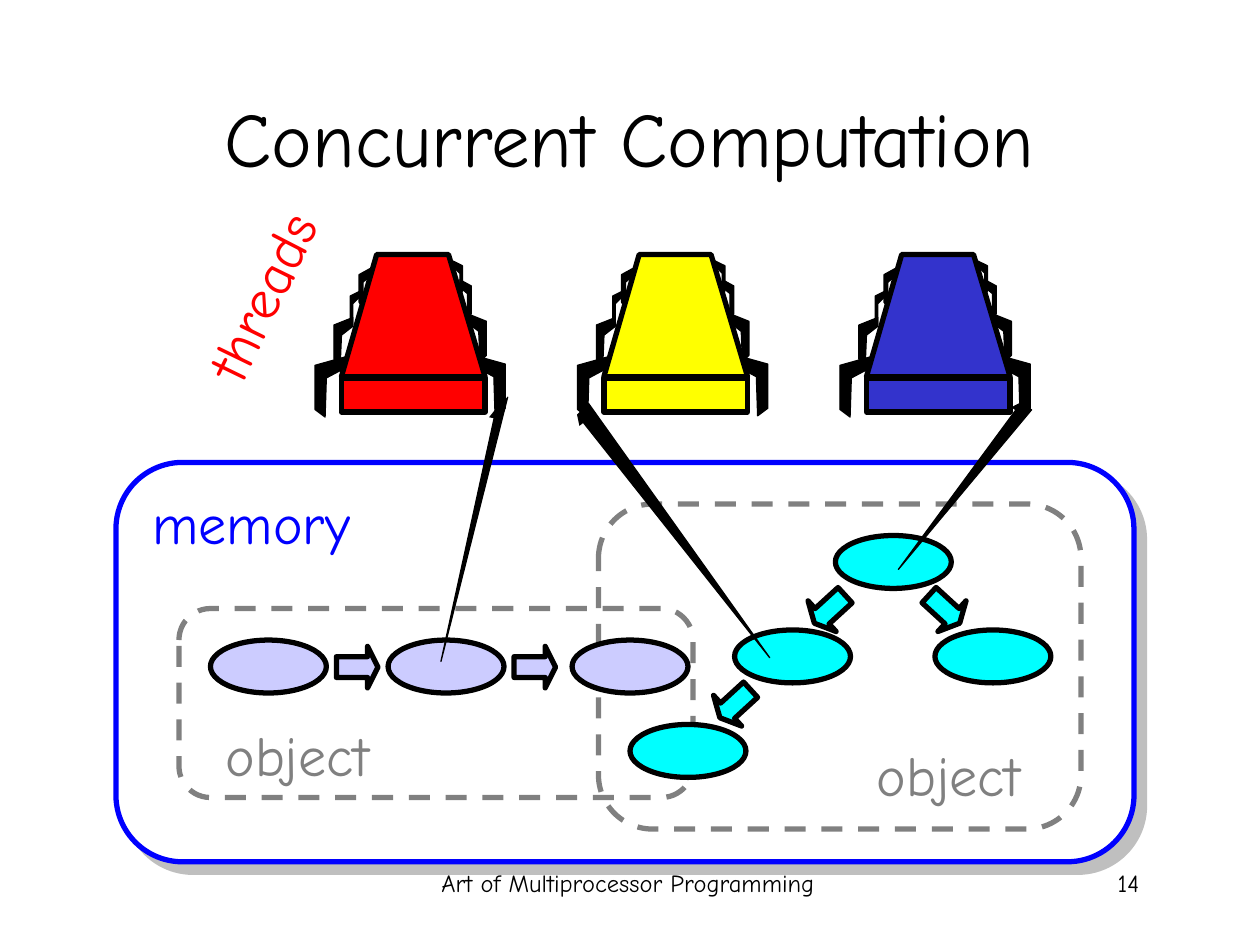
"""Build the Concurrent Computation slide: three threads sharing objects in memory."""
from dataclasses import dataclass
from typing import NamedTuple

from lxml.etree import SubElement
from pptx import Presentation
from pptx.dml.color import RGBColor
from pptx.enum.dml import MSO_LINE
from pptx.enum.shapes import MSO_SHAPE as Preset
from pptx.enum.text import MSO_ANCHOR as Anchor, MSO_AUTO_SIZE as AutoSize, PP_ALIGN as Align
from pptx.oxml.ns import qn
from pptx.util import Inches, Pt


@dataclass(frozen=True)
class Theme:
    font: str = "Comic Neue"
    title_size: int = 44
    label_size: int = 32
    footer_size: int = 14
    thick: float = 3
    thin: float = 0.75
    black: str = "000000"
    white: str = "FFFFFF"
    gray: str = "808080"
    blue: str = "0000FF"
    red: str = "FF0000"
    yellow: str = "FFFF00"
    indigo: str = "3333CC"
    lilac: str = "CCCCFF"
    cyan: str = "00FFFF"


class Label(NamedTuple):
    text: str
    left: float
    top: float
    width: float
    height: float
    color: str
    size: int
    align: Align = Align.RIGHT
    rotation: float = 0
    wrap: bool = False


class Node(NamedTuple):
    left: float
    top: float
    color: str


class Arrow(NamedTuple):
    left: float
    top: float
    color: str
    rotation: float = 0


class Leg(NamedTuple):
    right_hip: tuple
    left_hip: tuple
    outline: tuple


THEME = Theme()
THREAD_COLORS = (THEME.red, THEME.yellow, THEME.indigo)
THREAD_LEFT, THREAD_TOP, THREAD_STEP = 2.71, 2.02, 25 / 12
BODY = ((0, 0.97), (0.28, 0), (0.85, 0), (1.14, 0.97))
LEGS = (
    Leg((1.05, 0.8), (0.04, 0.81),
        ((0, 0), (0.25, 0.07), (0.25, 0.42), (0.17, 0.48), (0.16, 0.17), (0.01, 0.09))),
    Leg((1, 0.47), (0.09, 0.5),
        ((0, 0), (0.15, 0.06), (0.15, 0.33), (0.1, 0.38), (0.09, 0.14), (0, 0.07))),
    Leg((0.94, 0.2), (0.23, 0.11),
        ((0, 0), (0.09, 0.05), (0.09, 0.27), (0.06, 0.31), (0.06, 0.11), (0, 0.06))),
    Leg((0.88, 0.05), (0.15, 0.29),
        ((0, 0), (0.08, 0.04), (0.08, 0.24), (0.06, 0.27), (0.06, 0.1), (0.01, 0.05))),
)
NODES = (
    Node(1.67, 5.08, THEME.lilac), Node(3.08, 5.08, THEME.lilac), Node(4.54, 5.08, THEME.lilac),
    Node(6.63, 4.25, THEME.cyan), Node(7.42, 5, THEME.cyan),
    Node(5.83, 5, THEME.cyan), Node(5, 5.75, THEME.cyan),
)
ARROWS = (
    Arrow(2.67, 5.13, THEME.lilac), Arrow(4.08, 5.13, THEME.lilac),
    Arrow(7.33, 4.67, THEME.cyan, 42.5),
    Arrow(6.42, 4.67, THEME.cyan, 137.5), Arrow(5.67, 5.42, THEME.cyan, 137.5),
)
OBJECT_FRAMES = ((1.42, 4.83, 4.08, 1.5), (4.75, 4, 3.83, 2.58))
POINTERS = (
    ((4.03, 3.15), (3.5, 5.25), (3.94, 3.24)),
    ((4.67, 3.2), (6.11, 5.22), (4.58, 3.29)),
    ((8.19, 3.25), (7.13, 4.52), (8.11, 3.19)),
)
LABELS = (
    Label("memory", 1.11, 3.83, 1.77, 0.64, THEME.blue, THEME.label_size),
    Label("object", 1.69, 5.67, 1.34, 0.64, THEME.gray, THEME.label_size),
    Label("object", 6.86, 5.83, 1.34, 0.64, THEME.gray, THEME.label_size),
    Label("threads", 1.27, 2.03, 1.61, 0.64, THEME.red, THEME.label_size, rotation=295.9),
    Label("Art of Multiprocessor Programming", 3.4, 6.84, 3.17, 0.5, THEME.black,
          THEME.footer_size, Align.CENTER, wrap=True),
    Label("14", 7.06, 6.84, 2.08, 0.5, THEME.black, THEME.footer_size, wrap=True),
)


def apply_format(target, values: dict) -> None:
    """Set each named attribute of the target."""
    for name, value in values.items():
        setattr(target, name, value)


def paint(shape, fill: str | None, line: str, width: float):
    """Give a shape its fill and outline without a shadow."""
    shape.shadow.inherit = False
    if fill:
        shape.fill.solid()
        shape.fill.fore_color.rgb = RGBColor.from_string(fill)
    else:
        shape.fill.background()
    shape.line.color.rgb = RGBColor.from_string(line)
    shape.line.width = Pt(width)
    return shape


def add_preset(shapes, kind: Preset, frame: tuple, fill: str | None, line: str = THEME.black):
    """Add a thickly outlined preset shape."""
    shape = shapes.add_shape(kind, *map(Inches, frame))
    return paint(shape, fill, line, THEME.thick)


def add_outline(shapes, points, fill: str, width: float, close: bool = True):
    """Add a freeform through points given in inches."""
    start, *rest = [(Inches(x), Inches(y)) for x, y in points]
    builder = shapes.build_freeform(*start, scale=1.0)
    builder.add_line_segments(rest, close=close)
    return paint(builder.convert_to_shape(), fill, THEME.black, width)


def write(frame, text: str, size: int, color: str, align: Align) -> None:
    """Write one formatted paragraph."""
    para = frame.paragraphs[0]
    para.alignment = align
    span = para.add_run()
    span.text = text
    apply_format(span.font, {"name": THEME.font, "size": Pt(size)})
    span.font.color.rgb = RGBColor.from_string(color)


def add_label(page, label: Label) -> None:
    """Add a text box for a label."""
    box = page.shapes.add_textbox(*map(Inches, label[1:5]))
    box.rotation = label.rotation
    fit = AutoSize.NONE if label.wrap else AutoSize.SHAPE_TO_FIT_TEXT
    apply_format(box.text_frame, {"word_wrap": label.wrap, "auto_size": fit})
    write(box.text_frame, label.text, label.size, label.color, label.align)


def add_title(page, text: str) -> None:
    """Fill and place the title placeholder."""
    title = page.shapes.title
    apply_format(title, {"left": Inches(0.75), "top": Inches(0.46),
                         "width": Inches(8.5), "height": Inches(1.25)})
    apply_format(title.text_frame, {"vertical_anchor": Anchor.MIDDLE, "auto_size": AutoSize.NONE})
    write(title.text_frame, text, THEME.title_size, THEME.black, Align.CENTER)


def add_memory(page) -> None:
    """Add the memory frame with its offset shadow."""
    memory = add_preset(page.shapes, Preset.ROUNDED_RECTANGLE, (0.92, 3.67, 8.08, 3.17),
                        THEME.white, THEME.blue)
    effects = memory.element.spPr.find(qn("a:effectLst"))
    shadow = SubElement(effects, qn("a:outerShdw"), blurRad="0", dist=str(Pt(8.5)),
                        dir="2700000", algn="ctr", rotWithShape="0")
    color = SubElement(shadow, qn("a:srgbClr"), val=THEME.gray)
    SubElement(color, qn("a:alpha"), val="50000")


def add_thread(page, left: float, color: str) -> None:
    """Add one thread: eight legs, a tapered body and its front."""
    shapes = page.shapes.add_group_shape().shapes
    for side in (1, -1):
        for leg in LEGS:
            hip_x, hip_y = leg.right_hip if side == 1 else leg.left_hip
            points = [(left + hip_x + side * x, THREAD_TOP + hip_y + y) for x, y in leg.outline]
            add_outline(shapes, points, THEME.black, THEME.thin)
    body = [(left + x, THREAD_TOP + y) for x, y in BODY]
    add_outline(shapes, body, color, THEME.thick)
    add_preset(shapes, Preset.RECTANGLE, (left, THREAD_TOP + 0.98, 1.14, 0.27), color)


def add_pointer(page, points: tuple) -> None:
    """Add a tapering pointer from a thread to a node."""
    pointer = add_outline(page.shapes, points, THEME.black, THEME.thin, close=False)
    SubElement(pointer.line._get_or_add_ln(), qn("a:tailEnd"), type="triangle")


def main() -> None:
    """Build and save the deck."""
    deck = Presentation()
    apply_format(deck, {"slide_width": Inches(10), "slide_height": Inches(7.5)})
    page = deck.slides.add_slide(deck.slide_layouts[5])
    add_title(page, "Concurrent Computation")
    add_memory(page)
    for frame in OBJECT_FRAMES:
        dashed = add_preset(page.shapes, Preset.ROUNDED_RECTANGLE, frame, None, THEME.gray)
        dashed.line.dash_style = MSO_LINE.DASH
    for node in NODES:
        add_preset(page.shapes, Preset.OVAL, (node.left, node.top, 0.92, 0.42), node.color)
    for arrow in ARROWS:
        shape = add_preset(page.shapes, Preset.RIGHT_ARROW,
                           (arrow.left, arrow.top, 0.33, 0.33), arrow.color)
        shape.rotation = arrow.rotation
        shape.adjustments[1] = 0.25
    for index, color in enumerate(THREAD_COLORS):
        add_thread(page, THREAD_LEFT + index * THREAD_STEP, color)
    for points in POINTERS:
        add_pointer(page, points)
    for label in LABELS:
        add_label(page, label)
    deck.save("out.pptx")


if __name__ == "__main__":
    main()
